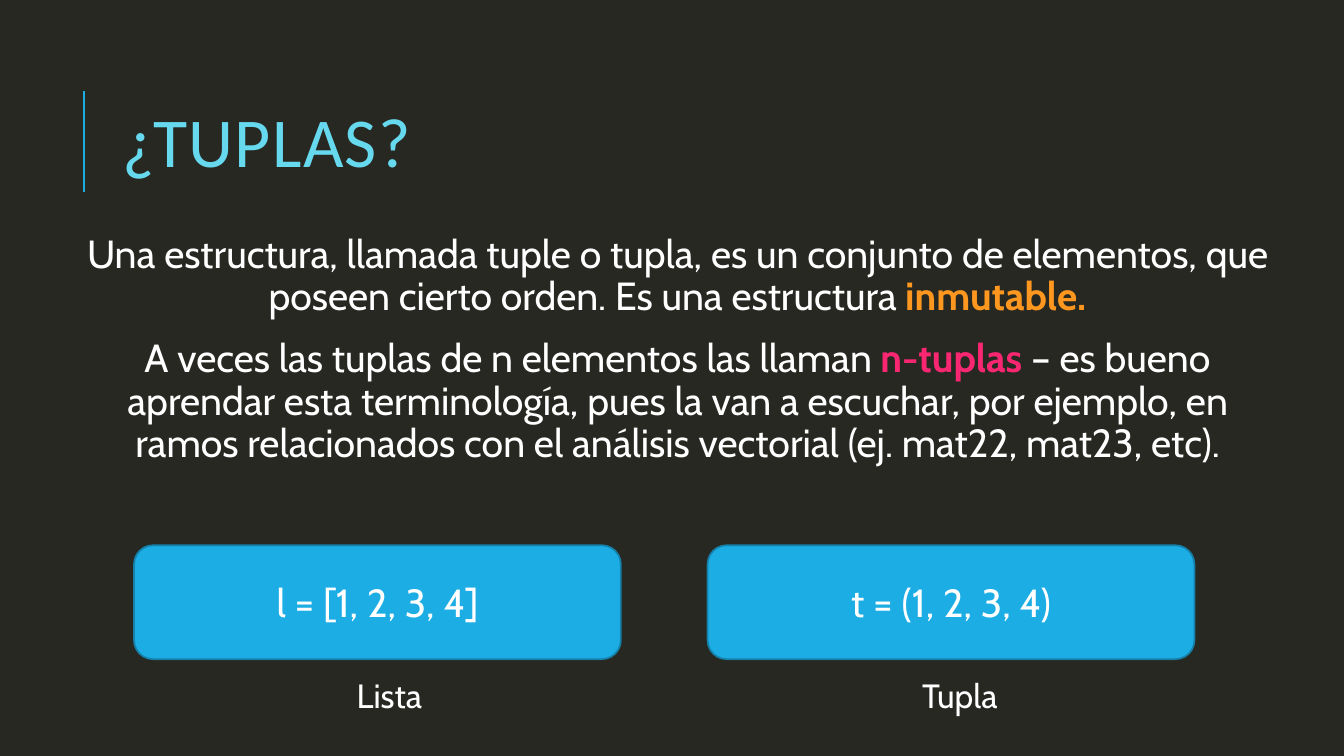
from lxml import etree
from pptx import Presentation
from pptx.dml.color import RGBColor
from pptx.enum import shapes, text
from pptx.oxml.ns import qn
from pptx.util import Pt

BACKGROUND = RGBColor(0x27, 0x28, 0x21)
WHITE = RGBColor(0xFF, 0xFF, 0xFF)
CYAN = RGBColor(0x66, 0xD9, 0xEF)
ORANGE = RGBColor(0xFD, 0x97, 0x1F)
PINK = RGBColor(0xF9, 0x26, 0x72)
BLUE = RGBColor(0x1C, 0xAD, 0xE4)
DARK_BLUE = RGBColor(0x15, 0x80, 0xA9)

DEFINITION = [
    [("Una estructura, llamada tuple o tupla, es un conjunto de elementos, que "
      "poseen cierto orden. Es una estructura ", WHITE),
     ("inmutable.", ORANGE)],
    [("A veces las tuplas de n elementos las llaman ", WHITE),
     ("n-tuplas", PINK),
     (" – es bueno aprendar esta terminología, pues la van a escuchar, por "
      "ejemplo, en ramos relacionados con el análisis vectorial "
      "(ej. mat22, mat23, etc).", WHITE)],
]

# code, left of its box, name, left of its name
EXAMPLES = [
    ("l = [1, 2, 3, 4]", 95.76, "Lista", 247.68),
    ("t = (1, 2, 3, 4)", 505.44, "Tupla", 651.6),
]


def add_span(para, content, size=28, font="Cabin", color=WHITE, bold=False, tracking=0):
    """Append a formatted run; tracking is the letter spacing in points."""
    span = para.add_run()
    span.text = content
    span.font.size = Pt(size)
    span.font.name = font
    span.font.bold = bold
    span.font.color.rgb = color
    if tracking:
        span.font._element.set("spc", str(tracking * 100))


def add_text_box(page, left, top, width, height):
    box = page.shapes.add_textbox(Pt(left), Pt(top), Pt(width), Pt(height))
    box.text_frame.word_wrap = True
    return box.text_frame


def add_title(page, content):
    frame = add_text_box(page, 80.64, 46.08, 765.36, 118.08)
    frame.vertical_anchor = text.MSO_ANCHOR.MIDDLE
    para = frame.paragraphs[0]
    para.line_spacing = 0.8
    add_span(para, content, size=50, font="Calibri", color=CYAN, tracking=1)


def add_accent_line(page):
    line = page.shapes.add_connector(
        shapes.MSO_CONNECTOR.STRAIGHT, Pt(60), Pt(136.8), Pt(60), Pt(64.8))
    line.line.color.rgb = BLUE
    line.line.width = Pt(1.5)
    etree.SubElement(line._element.spPr, qn("a:effectLst"))


def add_body(page, paragraphs):
    """Centred paragraphs, where every span that is not white is bold."""
    frame = add_text_box(page, 45.36, 164.16, 869.76, 316.8)
    frame.margin_left = Pt(10.8)
    frame.margin_right = frame.margin_top = frame.margin_bottom = Pt(3.6)
    for index, spans in enumerate(paragraphs):
        para = frame.add_paragraph() if index else frame.paragraphs[0]
        para.alignment = text.PP_ALIGN.CENTER
        para.line_spacing = 0.9
        para.space_before = Pt(12)
        para.space_after = Pt(2)
        for content, color in spans:
            add_span(para, content, color=color, bold=color != WHITE)


def add_code_box(page, content, left):
    box = page.shapes.add_shape(
        shapes.MSO_SHAPE.ROUNDED_RECTANGLE, Pt(left), Pt(389.52), Pt(347.76), Pt(81.36))
    box.shadow.inherit = False
    box.fill.solid()
    box.fill.fore_color.rgb = BLUE
    box.line.color.rgb = DARK_BLUE
    box.line.width = Pt(1.25)
    box.text_frame.vertical_anchor = text.MSO_ANCHOR.MIDDLE
    para = box.text_frame.paragraphs[0]
    para.alignment = text.PP_ALIGN.CENTER
    add_span(para, content)


def add_label(page, content, left):
    frame = add_text_box(page, left, 478.8, 152.64, 36)
    frame.auto_size = text.MSO_AUTO_SIZE.SHAPE_TO_FIT_TEXT
    add_span(frame.paragraphs[0], content, size=24)


def main():
    deck = Presentation()
    deck.slide_width, deck.slide_height = Pt(960), Pt(540)
    page = deck.slides.add_slide(deck.slide_layouts[6])
    page.background.fill.solid()
    page.background.fill.fore_color.rgb = BACKGROUND
    add_accent_line(page)
    add_title(page, "¿TUPLAS?")
    add_body(page, DEFINITION)
    for code, box_left, name, name_left in EXAMPLES:
        add_code_box(page, code, box_left)
        add_label(page, name, name_left)
    deck.save("out.pptx")


if __name__ == "__main__":
    main()
